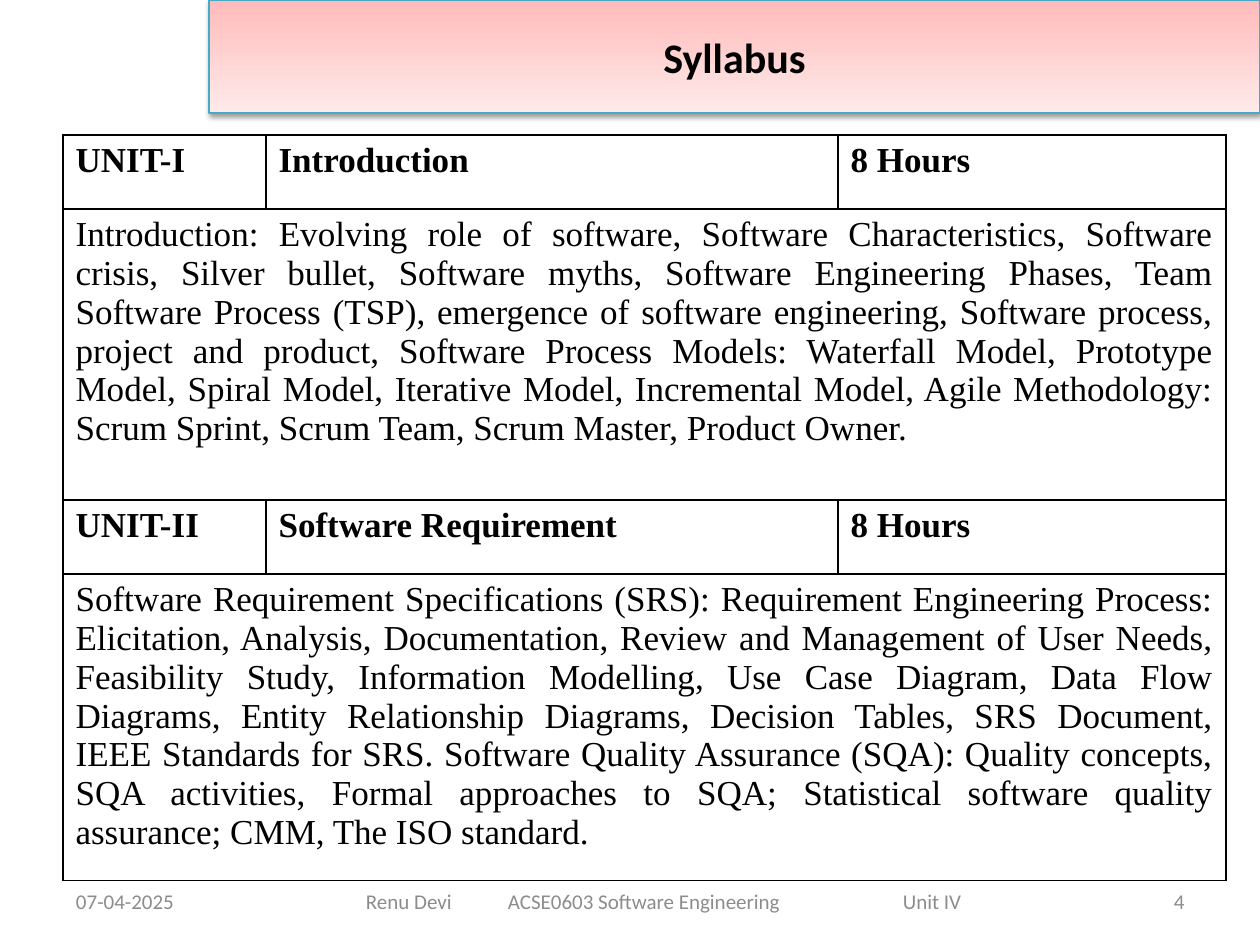
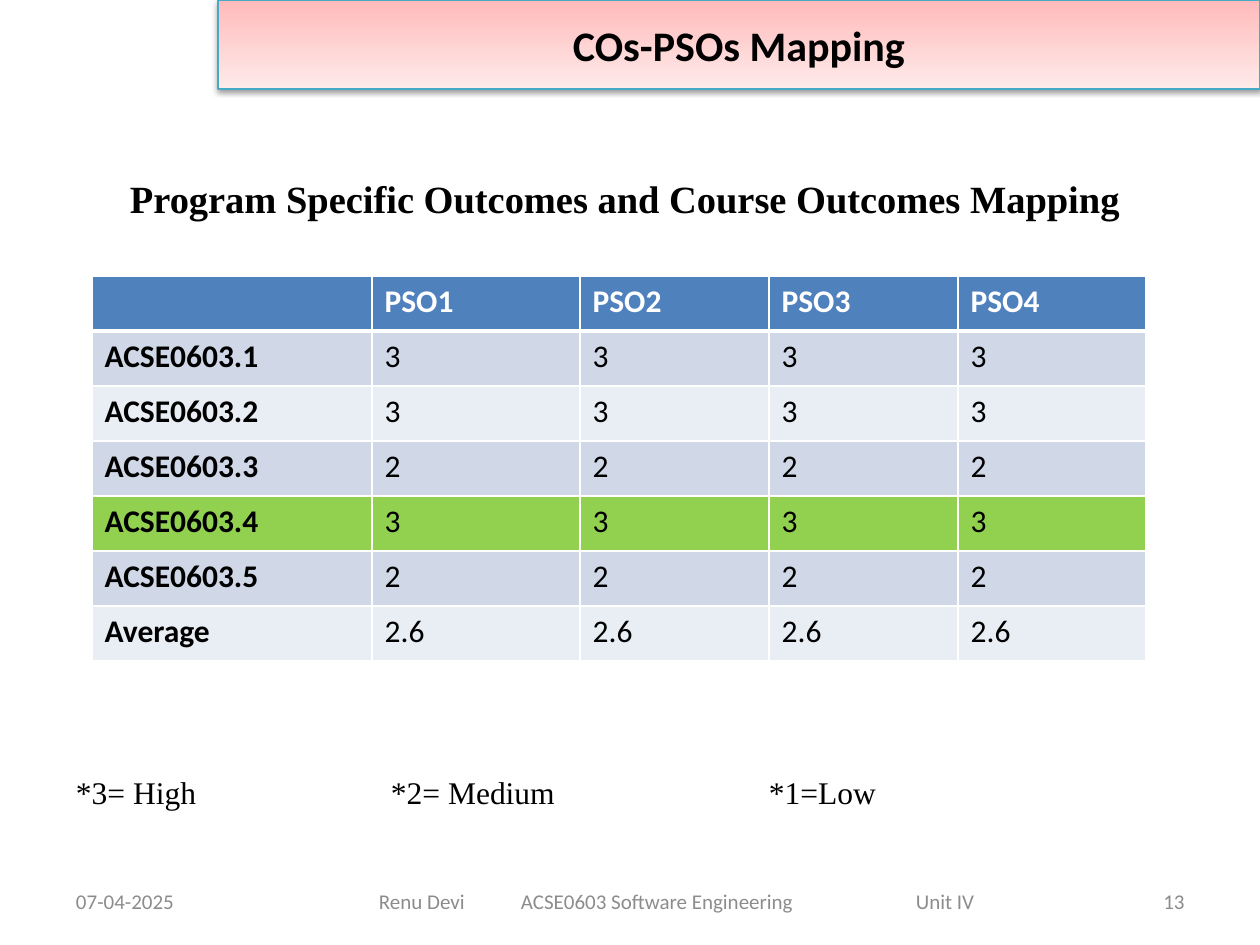
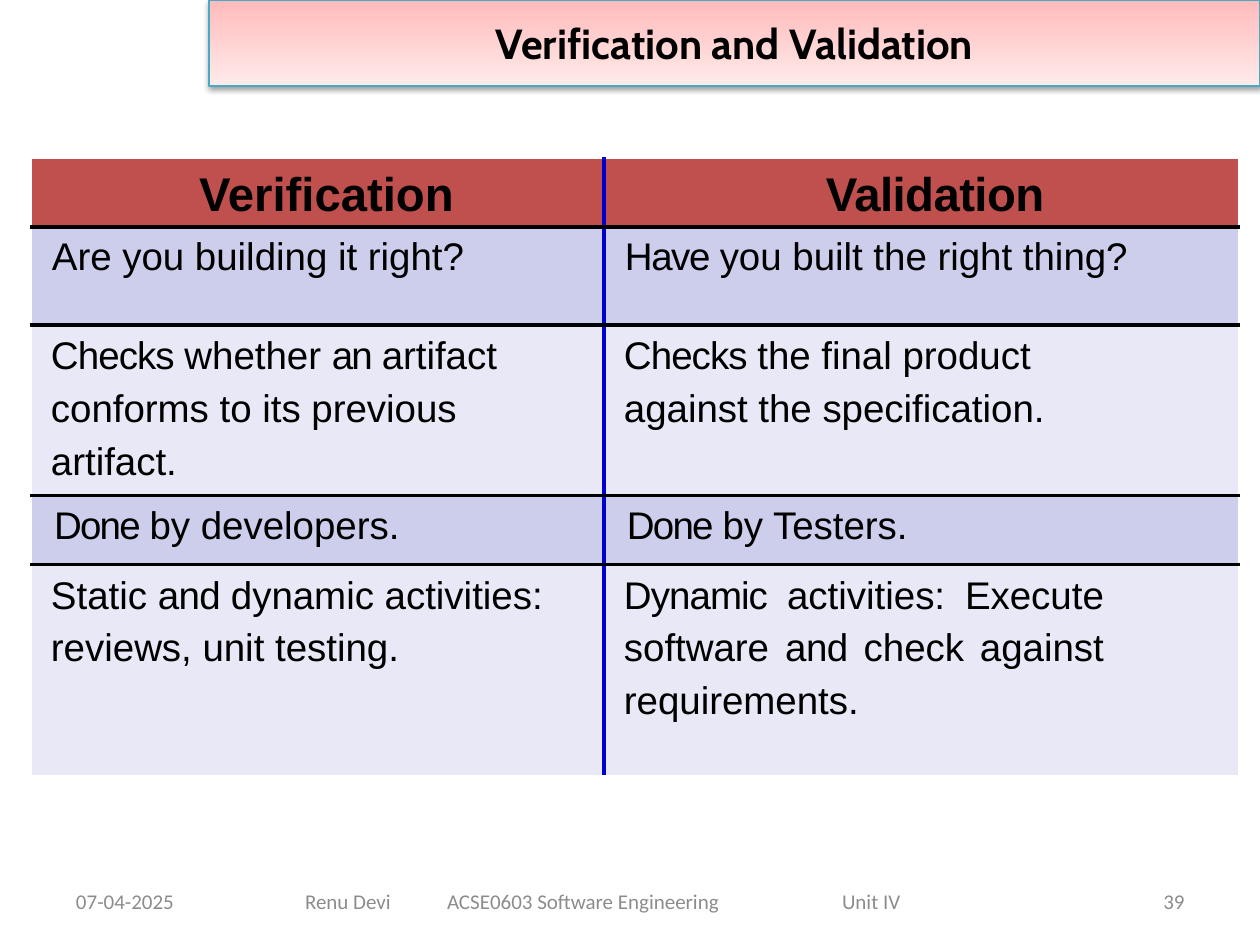
from lxml.etree import SubElement
from pptx import Presentation
from pptx.dml.color import RGBColor
from pptx.enum.text import MSO_ANCHOR, PP_ALIGN
from pptx.oxml.ns import qn
from pptx.util import Emu, Pt

COLOURS = {
    "black": "000000", "white": "FFFFFF", "grey": "8C8C8C",
    "band_top": "FFBBBB", "band_bottom": "FFEAEA", "band_line": "46AAC5",
    "header_blue": "4F81BD", "row_dark": "D0D8E8", "row_light": "E9EDF4",
    "highlight": "92D050", "header_red": "C0504D", "rule_blue": "0000CC",
    "lilac_dark": "CDCDEC", "lilac_light": "E8E8F6",
}
SERIF, SANS, PLAIN = "Times New Roman", "Calibri", "Arial"
FOOTER = "Renu Devi\tACSE0603 Software Engineering\tUnit IV"
FOOTER_TEXT_WIDTH = 627
THIN_WHITE = ("white", 1)
THIN_BLACK = ("black", 1)
THICK_BLACK = ("black", 2.25)


def px(length):
    return Emu(round(length * 914400 / 126))


def colour(name):
    return RGBColor.from_string(COLOURS[name])


class Deck:
    def __init__(self):
        self.deck = Presentation()
        self.deck.slide_width, self.deck.slide_height = px(1260), px(945)
        self.page = None

    def add_page(self, title, number, band_left, band_height, footer_left,
                 footer_width=693, font=SANS):
        self.page = self.deck.slides.add_slide(self.deck.slide_layouts[5])
        self.band(title, band_left, band_height, font)
        grey = {"size": 12, "ink": "grey"}
        self.text("07-04-2025", 63, 876, 294, 50, **grey)
        self.text(number, 903, 876, 294, 50, align=PP_ALIGN.RIGHT, **grey)
        self.text(FOOTER, footer_left, 876, footer_width, 50, tabs=(142, 537),
                  inset=(footer_width - FOOTER_TEXT_WIDTH) // 2, **grey)

    def band(self, title, left, height, font):
        box = self.page.shapes.title
        box.left, box.top = px(left), px(0)
        box.width, box.height = px(1260 - left), px(height)
        box.fill.gradient()
        box.fill.gradient_angle = 270
        for stop, name in zip(box.fill.gradient_stops, ("band_top", "band_bottom")):
            stop.color.rgb = colour(name)
        box.line.color.rgb = colour("band_line")
        box.line.width = Pt(0.75)
        effects = SubElement(box._element.spPr, qn("a:effectLst"))
        shadow = SubElement(effects, qn("a:outerShdw"), blurRad=str(Pt(3.1)),
                            dist=str(Pt(1.6)), dir="5400000", rotWithShape="0")
        black = SubElement(shadow, qn("a:srgbClr"), val=COLOURS["black"])
        SubElement(black, qn("a:alpha"), val="38000")
        box.text_frame.vertical_anchor = MSO_ANCHOR.MIDDLE
        para = box.text_frame.paragraphs[0]
        para.alignment = PP_ALIGN.CENTER
        self.add_span(para, title, 24, font, bold=True)

    def add_span(self, para, text, size, font, ink="black", bold=False, spacing=0):
        span = para.add_run()
        span.text = text
        span.font.size = Pt(size)
        span.font.name = font
        span.font.bold = bold
        span.font.color.rgb = colour(ink)
        if spacing:
            span._r.get_or_add_rPr().set("spc", str(round(spacing * 100)))

    def text(self, words, left, top, width, height, size, font=SANS, ink="black",
             bold=False, align=PP_ALIGN.LEFT, inset=13, tabs=()):
        box = self.page.shapes.add_textbox(px(left), px(top), px(width), px(height))
        frame = box.text_frame
        frame.word_wrap = True
        frame.vertical_anchor = MSO_ANCHOR.MIDDLE
        frame.margin_left = px(inset)
        para = frame.paragraphs[0]
        para.alignment = align
        if tabs:
            stops = SubElement(para._p.get_or_add_pPr(), qn("a:tabLst"))
            for position in tabs:
                SubElement(stops, qn("a:tab"), pos=str(px(position)), algn="l")
        self.add_span(para, words, size, font, ink, bold)

    def table(self, left, top, columns, rows, across, down):
        frame = self.page.shapes.add_table(
            len(rows), len(columns), px(left), px(top), px(sum(columns)), px(sum(rows)))
        table = frame.table
        table.first_row = table.horz_banding = False
        for column, width in zip(table.columns, columns):
            column.width = px(width)
        for row, height in zip(table.rows, rows):
            row.height = px(height)
        for r in range(len(rows)):
            for c in range(len(columns)):
                self.borders(table.cell(r, c), L=down[c], R=down[c + 1],
                             T=across[r], B=across[r + 1])
        return table

    def borders(self, cell, **edges):
        properties = cell._tc.get_or_add_tcPr()
        for side, (name, width) in edges.items():
            line = SubElement(properties, qn(f"a:ln{side}"), w=str(Pt(width)))
            fill = SubElement(line, qn("a:solidFill"))
            SubElement(fill, qn("a:srgbClr"), val=COLOURS[name])

    def cell(self, cell, spans, fill, size, font, ink="black", bold=False,
             align=PP_ALIGN.LEFT, indent=0, leading=None, margins=None):
        cell.fill.solid()
        cell.fill.fore_color.rgb = colour(fill)
        if margins:
            (cell.margin_left, cell.margin_top,
             cell.margin_right, cell.margin_bottom) = map(px, margins)
        para = cell.text_frame.paragraphs[0]
        para.alignment = align
        if indent:
            para._p.get_or_add_pPr().set("marL", str(px(indent)))
        if leading:
            para.line_spacing = leading
        for words, spacing in spans:
            self.add_span(para, words, size, font, ink, bold, spacing)


def syllabus(deck):
    deck.add_page("Syllabus", "4", 209, 113, 333)
    units = [
        (("UNIT-I", "Introduction", "8 Hours"),
         "Introduction: Evolving role of software, Software Characteristics, Software "
         "crisis, Silver bullet, Software myths, Software Engineering Phases, Team "
         "Software Process (TSP), emergence of software engineering, Software process, "
         "project and product, Software Process Models: Waterfall Model, Prototype "
         "Model, Spiral Model, Iterative Model, Incremental Model, Agile Methodology: "
         "Scrum Sprint, Scrum Team, Scrum Master, Product Owner."),
        (("UNIT-II", "Software Requirement", "8 Hours"),
         "Software Requirement Specifications (SRS): Requirement Engineering Process: "
         "Elicitation, Analysis, Documentation, Review and Management of User Needs, "
         "Feasibility Study, Information Modelling, Use Case Diagram, Data Flow "
         "Diagrams, Entity Relationship Diagrams, Decision Tables, SRS Document, "
         "IEEE Standards for SRS. Software Quality Assurance (SQA): Quality concepts, "
         "SQA activities, Formal approaches to SQA; Statistical software quality "
         "assurance; CMM, The ISO standard."),
    ]
    table = deck.table(63, 135, (203, 572, 388), (74, 291, 74, 301),
                       [THIN_BLACK] * 5, [THIN_BLACK] * 4)
    style = {"fill": "white", "size": 20, "font": SERIF, "align": PP_ALIGN.JUSTIFY}
    for unit, (heads, topics) in enumerate(units):
        for column, head in enumerate(heads):
            deck.cell(table.cell(2 * unit, column), [(head, 0)], bold=True, **style)
        wide = table.cell(2 * unit + 1, 0)
        wide.merge(table.cell(2 * unit + 1, 2))
        deck.cell(wide, [(topics, 0)], **style)


def outcomes(deck):
    deck.add_page("COs-PSOs Mapping", "13", 218, 89, 346)
    deck.text("Program Specific Outcomes and Course Outcomes Mapping",
              92, 172, 1074, 53, size=22, font=SERIF, bold=True, inset=38)
    deck.text("*3= High\t*2= Medium\t*1=Low", 0, 767, 1231, 50, size=18, font=SERIF,
              inset=76, tabs=(315, 693))
    scores = [("ACSE0603.1", "3"), ("ACSE0603.2", "3"), ("ACSE0603.3", "2"),
              ("ACSE0603.4", "3"), ("ACSE0603.5", "2"), ("Average", "2.6")]
    heads = ["", "PSO1", "PSO2", "PSO3", "PSO4"]
    rows = [heads] + [[label] + [score] * 4 for label, score in scores]
    table = deck.table(92, 276, (280, 208, 189, 189, 188), [55] * len(rows),
                       [THIN_WHITE, ("white", 3)] + [THIN_WHITE] * 6, [THIN_WHITE] * 6)
    fills = ["header_blue"] + ["row_dark", "row_light"] * 3
    fills[4] = "highlight"
    for r, (values, fill) in enumerate(zip(rows, fills)):
        for c, value in enumerate(values):
            deck.cell(table.cell(r, c), [(value, 0)] if value else [], fill, 18, SANS,
                      ink="black" if r else "white", bold=r == 0 or c == 0)


def verification(deck):
    deck.add_page("Verification and Validation", "39", 209, 86, 262, 714, "Cabin")
    table = deck.table(31, 158, (573, 635), (69, 98, 166, 69, 211),
                       [THIN_WHITE] + [THICK_BLACK] * 4 + [THIN_WHITE],
                       [THIN_WHITE, ("rule_blue", 2.25), THIN_WHITE])
    heads = [(168, [("Verification", 0)]), (222, [("Validation", -0.3)])]
    for column, (indent, spans) in enumerate(heads):
        deck.cell(table.cell(0, column), spans, "header_red", 27, PLAIN, bold=True,
                  indent=indent, leading=1.2, margins=(0, 0, 0, 0))
    rows = [
        (21, 1.21, (0, 0),
         [("Are you building it right?", 0)],
         [("Have ", -0.8), ("you built the right thing?", 0)]),
        (20, 1.23, (40, 135),
         [("Checks ", -0.5), ("whether ", 0), ("an ", -1),
          ("artifact conforms to its previous artifact.", 0)],
         [("Checks ", -0.5), ("the final product against the specification.", 0)]),
        (23, 1.21, (0, 0),
         [("Done ", -1), ("by developers.", 0)],
         [("Done ", -1), ("by Testers.", 0)]),
        (20, 1.23, (40, 135),
         [("Static ", 0), ("and ", -0.3),
          ("dynamic activities: reviews, unit testing.", 0)],
         [("Dynamic ", -0.5), ("activities: Execute software ", 0), ("and ", -0.3),
          ("check against requirements.", 0)]),
    ]
    for r, (indent, leading, right_margins, *texts) in enumerate(rows, 1):
        fill = "lilac_dark" if r % 2 else "lilac_light"
        for c, spans in enumerate(texts):
            justified = (r, c) == (4, 1)
            deck.cell(table.cell(r, c), spans, fill, 22, PLAIN, indent=indent,
                      align=PP_ALIGN.JUSTIFY if justified else PP_ALIGN.LEFT,
                      leading=leading, margins=(0, 0, right_margins[c], 0))


def main():
    deck = Deck()
    syllabus(deck)
    outcomes(deck)
    verification(deck)
    deck.deck.save("out.pptx")


if __name__ == "__main__":
    main()
